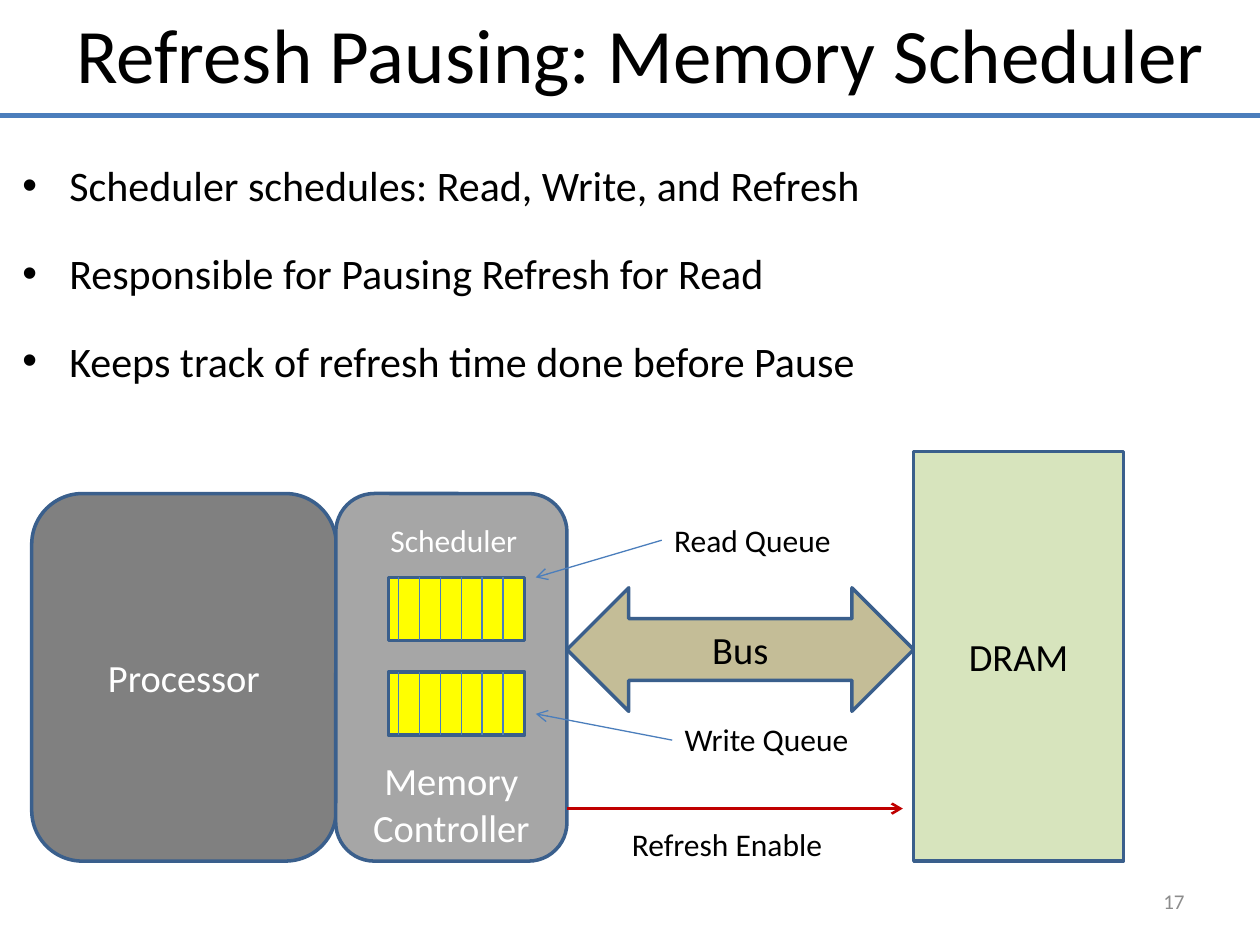
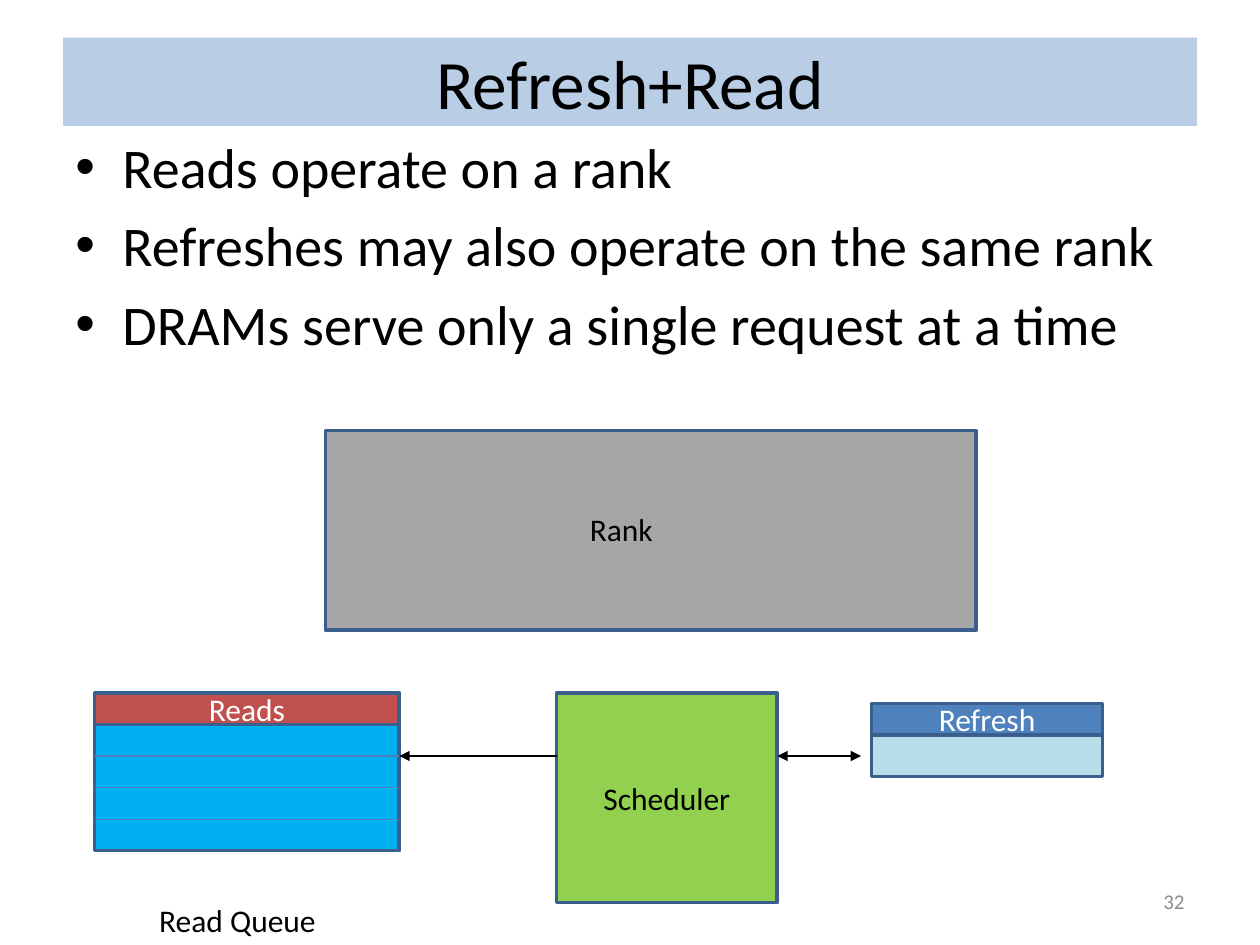
from dataclasses import dataclass

from lxml import etree
from pptx import Presentation
from pptx.dml.color import RGBColor
from pptx.enum.shapes import MSO_CONNECTOR, MSO_SHAPE
from pptx.enum.text import MSO_ANCHOR, MSO_AUTO_SIZE, PP_ALIGN
from pptx.oxml.ns import qn
from pptx.shapes.autoshape import Shape
from pptx.slide import Slide
from pptx.text.text import TextFrame
from pptx.util import Cm, Pt

RECT = MSO_SHAPE.RECTANGLE
ROUNDED = MSO_SHAPE.ROUNDED_RECTANGLE
DOUBLE_ARROW = MSO_SHAPE.LEFT_RIGHT_ARROW
STRAIGHT = MSO_CONNECTOR.STRAIGHT
TOP, MIDDLE, BOTTOM = MSO_ANCHOR.TOP, MSO_ANCHOR.MIDDLE, MSO_ANCHOR.BOTTOM
LEFT, CENTER, RIGHT = PP_ALIGN.LEFT, PP_ALIGN.CENTER, PP_ALIGN.RIGHT
NO_AUTOFIT = MSO_AUTO_SIZE.NONE
TITLE_ONLY = 5


@dataclass(frozen=True)
class Theme:
    font: str = "Calibri"
    black: str = "000000"
    white: str = "FFFFFF"
    outline: str = "3A5F8C"
    accent: str = "4B7EBC"
    signal: str = "C00000"
    title_band: str = "B9CDE5"
    page_number: str = "8C8C8C"
    processor: str = "808080"
    silver: str = "A6A6A6"
    bus: str = "C4BD97"
    dram: str = "D7E4BD"
    queue: str = "FFFF00"
    scheduler: str = "92D050"
    read_rows: str = "00B0F0"
    read_header: str = "C0504D"
    refresh_row: str = "B7DEE8"
    refresh_header: str = "4F81BD"
    label_size: float = 18
    block_size: float = 22
    page_size: float = 12
    outline_width: float = 2
    thin: float = 0.75


THEME = Theme()


@dataclass(frozen=True)
class Box:
    """Position and size in centimetres."""
    left: float
    top: float
    width: float
    height: float

    def lengths(self) -> tuple[Cm, Cm, Cm, Cm]:
        return Cm(self.left), Cm(self.top), Cm(self.width), Cm(self.height)


@dataclass(frozen=True)
class Block:
    box: Box
    fill: str
    lines: tuple[str, ...] = ()
    color: str = THEME.black
    size: float = THEME.label_size
    geometry: MSO_SHAPE = RECT
    anchor: MSO_ANCHOR = MIDDLE


@dataclass(frozen=True)
class Label:
    text: str
    left: float
    top: float
    width: float
    color: str = THEME.black


@dataclass(frozen=True)
class Line:
    x1: float
    y1: float
    x2: float
    y2: float
    color: str = THEME.accent
    width: float = THEME.thin
    start_head: str = ""
    end_head: str = ""


# Text helpers

def write_lines(frame: TextFrame, lines: tuple[str, ...], size: float, color: str,
                align: PP_ALIGN = LEFT, gap: float = 0, bulleted: bool = False) -> None:
    for index, text in enumerate(lines):
        paragraph = frame.add_paragraph() if index else frame.paragraphs[0]
        paragraph.text = text
        paragraph.alignment = align
        paragraph.space_before = Pt(gap if index else 0)
        if bulleted:
            properties = paragraph._p.get_or_add_pPr()
            properties.set("marL", str(Cm(0.95)))
            properties.set("indent", str(Cm(-0.95)))
            etree.SubElement(properties, qn("a:buFont"), typeface="Arial")
            etree.SubElement(properties, qn("a:buChar"), char="•")
        paragraph.font.name = THEME.font
        paragraph.font.size = Pt(size)
        paragraph.font.color.rgb = RGBColor.from_string(color)


def add_text(slide: Slide, box: Box) -> TextFrame:
    frame = slide.shapes.add_textbox(*box.lengths()).text_frame
    frame.word_wrap = True
    return frame


def add_label(slide: Slide, label: Label) -> None:
    frame = add_text(slide, Box(label.left, label.top, label.width, 1.02))
    frame.word_wrap = False
    write_lines(frame, (label.text,), THEME.label_size, label.color)


# Shape helpers

def add_block(slide: Slide, block: Block) -> Shape:
    shape = slide.shapes.add_shape(block.geometry, *block.box.lengths())
    shape.shadow.inherit = False
    shape.fill.solid()
    shape.fill.fore_color.rgb = RGBColor.from_string(block.fill)
    shape.line.color.rgb = RGBColor.from_string(THEME.outline)
    shape.line.width = Pt(THEME.outline_width)
    if block.lines:
        frame = shape.text_frame
        frame.word_wrap = True
        frame.vertical_anchor = block.anchor
        if block.anchor == BOTTOM:
            frame.margin_bottom = Cm(0)
        write_lines(frame, block.lines, block.size, block.color, CENTER)
    return shape


def add_line(slide: Slide, line: Line) -> None:
    connector = slide.shapes.add_connector(
        STRAIGHT, Cm(line.x1), Cm(line.y1), Cm(line.x2), Cm(line.y2))
    connector.line.color.rgb = RGBColor.from_string(line.color)
    connector.line.width = Pt(line.width)
    stroke = connector.line._get_or_add_ln()
    for tag, head in (("a:headEnd", line.start_head), ("a:tailEnd", line.end_head)):
        if head:
            etree.SubElement(stroke, qn(tag), type=head)
    etree.SubElement(connector._element.spPr, qn("a:effectLst"))


# Shared slide parts

def start_slide(deck: Presentation, title: str, title_box: Box, title_size: float,
                title_anchor: MSO_ANCHOR, page: int, band: str = "") -> Slide:
    slide = deck.slides.add_slide(deck.slide_layouts[TITLE_ONLY])
    heading = slide.shapes.title
    heading.left, heading.top, heading.width, heading.height = title_box.lengths()
    if band:
        heading.fill.solid()
        heading.fill.fore_color.rgb = RGBColor.from_string(band)
    frame = heading.text_frame
    frame.auto_size = NO_AUTOFIT
    frame.margin_left = frame.margin_right = Cm(0)
    frame.vertical_anchor = title_anchor
    write_lines(frame, (title,), title_size, THEME.black, CENTER)

    number = add_text(slide, Box(18.2, 17.65, 5.93, 1.02))
    number.vertical_anchor = MIDDLE
    write_lines(number, (str(page),), THEME.page_size, THEME.page_number, RIGHT)
    return slide


def add_bullets(slide: Slide, box: Box, points: tuple[str, ...],
                size: float, gap: float) -> None:
    write_lines(add_text(slide, box), points, size, THEME.black, gap=gap, bulleted=True)


# Slide: memory scheduler

def build_memory_scheduler(deck: Presentation) -> None:
    slide = start_slide(deck, "Refresh Pausing: Memory Scheduler",
                        Box(1.27, 0, 23.29, 2.44), 44, TOP, 17)
    add_line(slide, Line(0, 2.33, 25.4, 2.33, width=3))
    add_bullets(slide, Box(0.2, 3.1, 25.2, 7),
                ("Scheduler schedules: Read, Write, and Refresh",
                 "Responsible for Pausing Refresh for Read",
                 "Keeps track of refresh time done before Pause"), 24, 21.3)

    # Processor, bus, controller and memory
    size = THEME.block_size
    for block in (
        Block(Box(0.64, 9.95, 6.14, 7.41), THEME.processor, ("Processor",),
              THEME.white, size, ROUNDED),
        Block(Box(11.43, 11.85, 6.99, 2.49), THEME.bus, ("Bus",),
              size=size, geometry=DOUBLE_ARROW),
        Block(Box(6.77, 9.95, 4.66, 7.41), THEME.silver, ("Memory", "Controller"),
              THEME.white, size, ROUNDED, BOTTOM),
        Block(Box(18.42, 9.1, 4.23, 8.26), THEME.dram, ("DRAM",), size=size),
    ):
        add_block(slide, block)

    # Read and write queues with their slots
    for queue_top in (11.64, 13.55):
        queue = Box(7.83, queue_top, 2.75, 1.27)
        add_block(slide, Block(queue, THEME.queue))
        for slot in range(6):
            x = 8.04 + 0.42 * slot
            add_line(slide, Line(x, queue.top, x, queue.top + queue.height))

    # Labels and pointers
    for label in (
        Label("Scheduler", 7.62, 10.37, 3.1, THEME.white),
        Label("Read Queue", 13.34, 10.37, 3.71),
        Label("Write Queue", 13.55, 14.39, 3.86),
        Label("Refresh Enable", 12.49, 16.51, 4.39),
    ):
        add_label(slide, label)
    for pointer in (
        Line(11.43, 16.3, 18.2, 16.3, THEME.signal, 1.5, end_head="arrow"),
        Line(13.55, 14.92, 10.8, 14.39, end_head="arrow"),
        Line(13.34, 10.89, 10.8, 11.64, end_head="arrow"),
    ):
        add_line(slide, pointer)


# Slide: refresh and read

def build_refresh_read(deck: Presentation) -> None:
    slide = start_slide(deck, "Refresh+Read", Box(1.27, 0.76, 22.86, 1.78),
                        39.6, MIDDLE, 32, THEME.title_band)
    add_bullets(slide, Box(1.27, 2.54, 22.86, 6),
                ("Reads operate on a rank",
                 "Refreshes may also operate on the same rank",
                 "DRAMs serve only a single request at a time"), 32, 6.4)

    # Rank and scheduler
    add_block(slide, Block(Box(6.56, 8.68, 13.12, 4.02), THEME.silver))
    add_label(slide, Label("Rank", 11.64, 10.16, 1.8))
    add_block(slide, Block(Box(11.22, 13.97, 4.45, 4.23), THEME.scheduler, ("Scheduler",)))

    # Read queue: a header and four rows
    reads = Box(1.91, 13.97, 6.14, 3.18)
    row_height = reads.height / 5
    add_block(slide, Block(reads, THEME.read_rows))
    for row in range(2, 5):
        y = reads.top + row * row_height
        add_line(slide, Line(reads.left, y, reads.left + reads.width, y))
    add_label(slide, Label("Read Queue", 2.96, 18.03, 3.71))

    # Refresh queue and both headers
    refresh = Box(17.57, 14.18, 4.66, 1.48)
    add_block(slide, Block(refresh, THEME.refresh_row))
    for queue, fill, name in ((reads, THEME.read_header, "Reads"),
                              (refresh, THEME.refresh_header, "Refresh")):
        header = Box(queue.left, queue.top, queue.width, row_height)
        add_block(slide, Block(header, fill, (name,), THEME.white))

    # Scheduler links
    add_line(slide, Line(11.22, 15.24, 8.05, 15.24, THEME.black, 1, end_head="triangle"))
    add_line(slide, Line(15.67, 15.24, 17.36, 15.24, THEME.black,
                         start_head="triangle", end_head="triangle"))


def main() -> None:
    deck = Presentation()
    deck.slide_width, deck.slide_height = Cm(25.4), Cm(19.05)
    build_memory_scheduler(deck)
    build_refresh_read(deck)
    deck.save("out.pptx")


if __name__ == "__main__":
    main()
